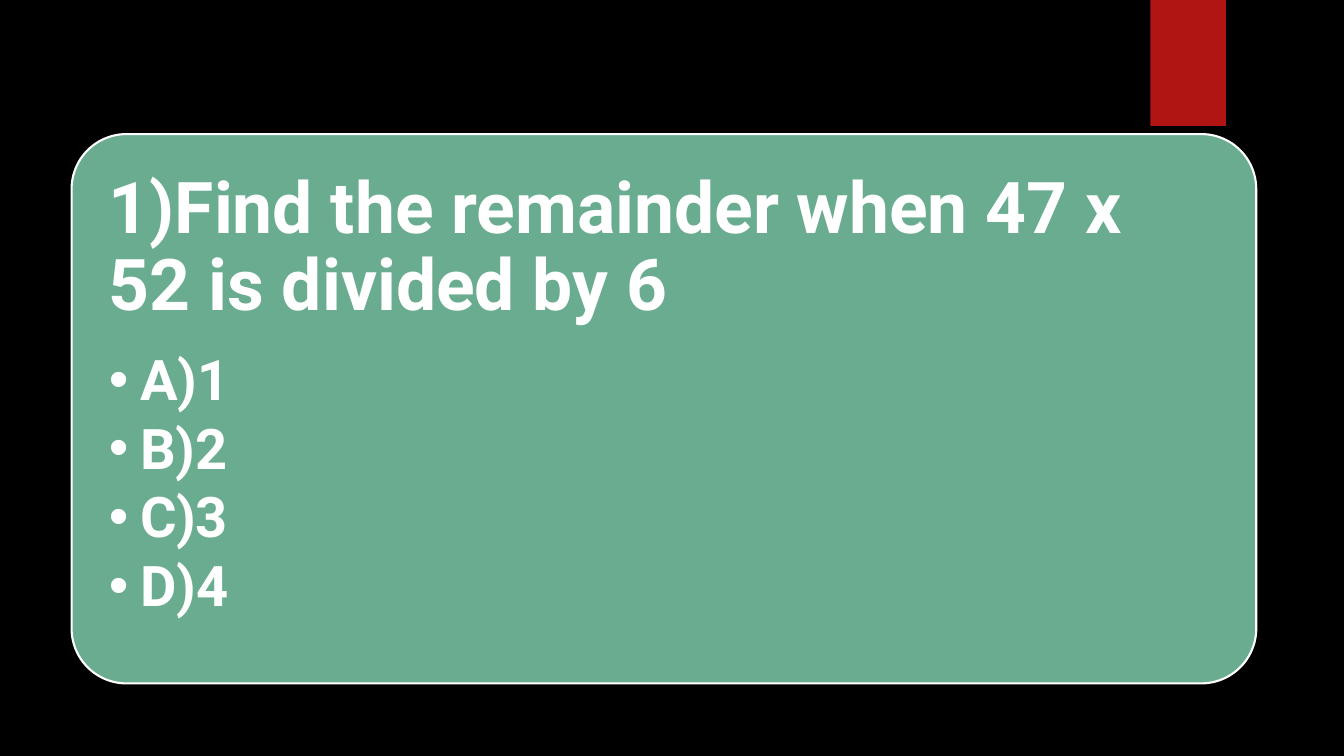
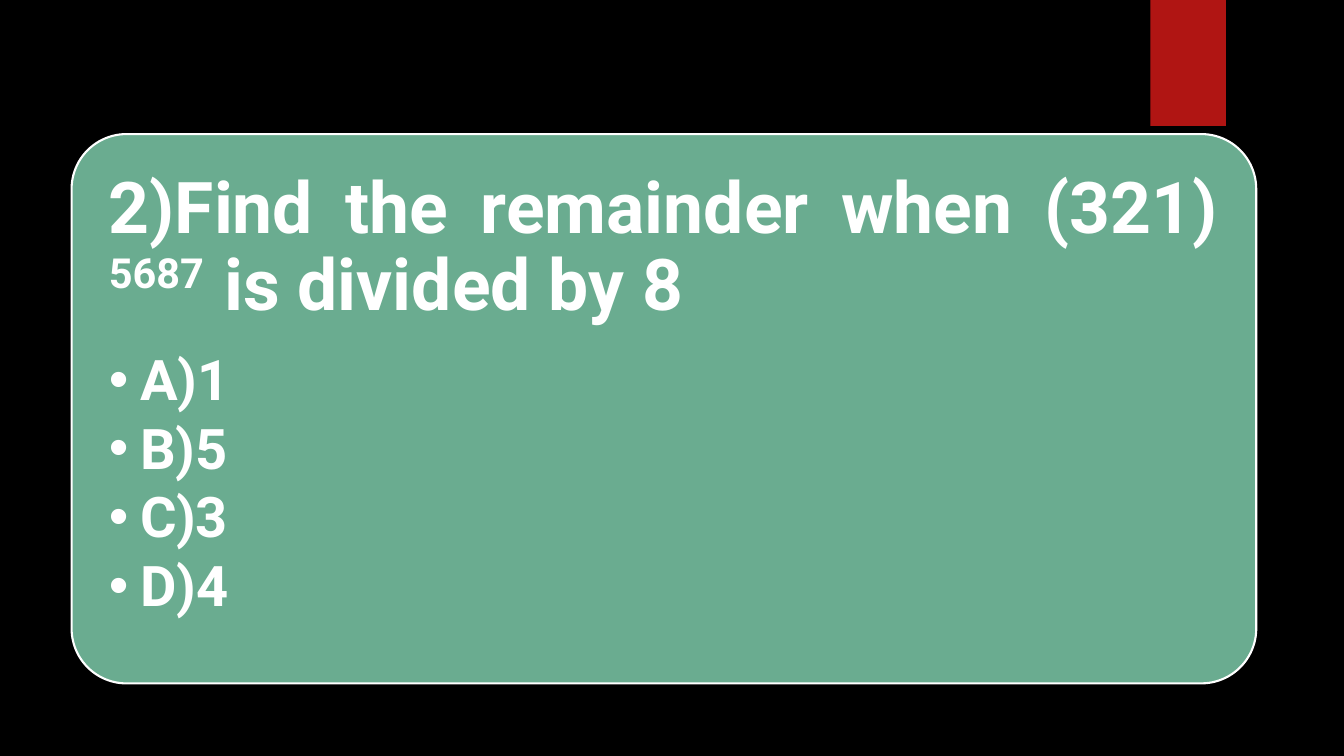
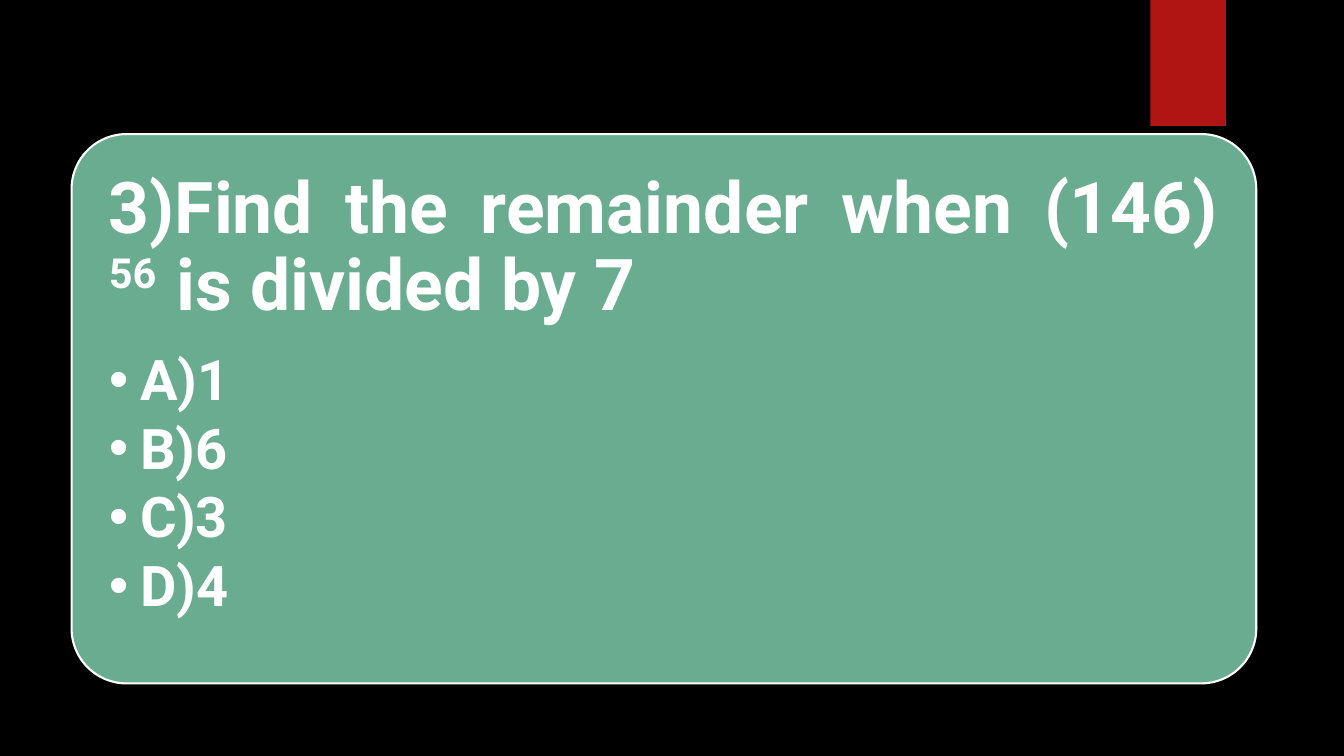
from pptx import Presentation
from pptx.dml.color import RGBColor
from pptx.enum.shapes import MSO_SHAPE
from pptx.enum.text import MSO_ANCHOR, MSO_AUTO_SIZE, PP_ALIGN
from pptx.oxml import parse_xml
from pptx.oxml.ns import nsdecls
from pptx.util import Inches, Pt

BLACK = RGBColor(0x00, 0x00, 0x00)
WHITE = RGBColor(0xFF, 0xFF, 0xFF)
RED = RGBColor(0xB0, 0x15, 0x13)
GREEN = RGBColor(0x6A, 0xAC, 0x90)
FONT = "Roboto"

# Each question: (text before the power, power, text after it), alignment, answers
QUESTIONS = [
    (("1)Find the remainder when 47 x 52 is divided by 6", "", ""),
     PP_ALIGN.LEFT, (1, 2, 3, 4)),
    (("2)Find the remainder when (321) ", "5687  ", "is divided by 8"),
     PP_ALIGN.JUSTIFY, (1, 5, 3, 4)),
    (("3)Find the remainder when (146) ", "56  ", "is divided by 7"),
     PP_ALIGN.JUSTIFY, (1, 6, 3, 4)),
]

RIBBON = (11.41, 0, 0.75, 1.25)
CARD = (0.71, 1.33, 11.75, 5.45)
QUESTION_AREA = (0.87, 1.49, 11.43, 1.79)
ANSWER_AREA = (0.87, 3.28, 11.43, 3.34)
INSET = Inches(0.21)
HANGING = Inches(0.31)


def add_block(slide, preset, area, color):
    block = slide.shapes.add_shape(preset, *map(Inches, area))
    block.shadow.inherit = False
    block.fill.solid()
    block.fill.fore_color.rgb = color
    block.line.fill.background()
    return block


def place(placeholder, area):
    placeholder.left, placeholder.top, placeholder.width, placeholder.height = map(
        Inches, area)


def prepare_frame(frame):
    frame.word_wrap = True
    frame.auto_size = MSO_AUTO_SIZE.NONE
    frame.vertical_anchor = MSO_ANCHOR.TOP
    frame.margin_left = frame.margin_right = INSET
    frame.margin_top = frame.margin_bottom = INSET


def style_paragraph(paragraph, size, align, space_after):
    paragraph.alignment = align
    paragraph.line_spacing = 0.9
    paragraph.space_before = Pt(0)
    paragraph.space_after = Pt(space_after)
    paragraph.font.name = FONT
    paragraph.font.size = Pt(size)
    paragraph.font.bold = True
    paragraph.font.color.rgb = WHITE


def add_bullet(paragraph):
    properties = paragraph._p.get_or_add_pPr()
    properties.set("marL", str(HANGING))
    properties.set("indent", str(-HANGING))
    properties.append(parse_xml(f'<a:buChar {nsdecls("a")} char="•"/>'))


def add_card(slide):
    """Draw the rounded card behind the slide's text."""
    card = add_block(slide, MSO_SHAPE.ROUNDED_RECTANGLE, CARD, GREEN)
    card.adjustments[0] = 0.1
    card.line.color.rgb = WHITE
    card.line.width = Pt(1.5)
    slide.shapes.title.element.addprevious(card.element)


def write_question(frame, parts, align):
    prepare_frame(frame)
    paragraph = frame.paragraphs[0]
    for text, baseline in zip(parts, (None, "30000", None)):
        if text:
            run = paragraph.add_run()
            run.text = text
            if baseline:
                run._r.get_or_add_rPr().set("baseline", baseline)
    style_paragraph(paragraph, 51, align, 0)


def write_answers(frame, answers):
    prepare_frame(frame)
    frame.text = "\n".join(f"{letter}){answer}" for letter, answer in zip("ABCD", answers))
    for paragraph in frame.paragraphs:
        add_bullet(paragraph)
        style_paragraph(paragraph, 40, PP_ALIGN.LEFT, 6)


def main():
    deck = Presentation()
    deck.slide_width, deck.slide_height = Inches(13.33), Inches(7.5)
    master = deck.slide_master
    master.background.fill.solid()
    master.background.fill.fore_color.rgb = BLACK
    layout = deck.slide_layouts[1]
    place(layout.placeholders[0], QUESTION_AREA)
    place(layout.placeholders[1], ANSWER_AREA)

    for parts, align, answers in QUESTIONS:
        slide = deck.slides.add_slide(layout)
        add_card(slide)
        write_question(slide.shapes.title.text_frame, parts, align)
        write_answers(slide.placeholders[1].text_frame, answers)

    # The ribbon moves to the master, so that every slide shows it
    ribbon = add_block(deck.slides[0], MSO_SHAPE.RECTANGLE, RIBBON, RED)
    master.shapes.element.append(ribbon.element)
    deck.save("out.pptx")


if __name__ == "__main__":
    main()
